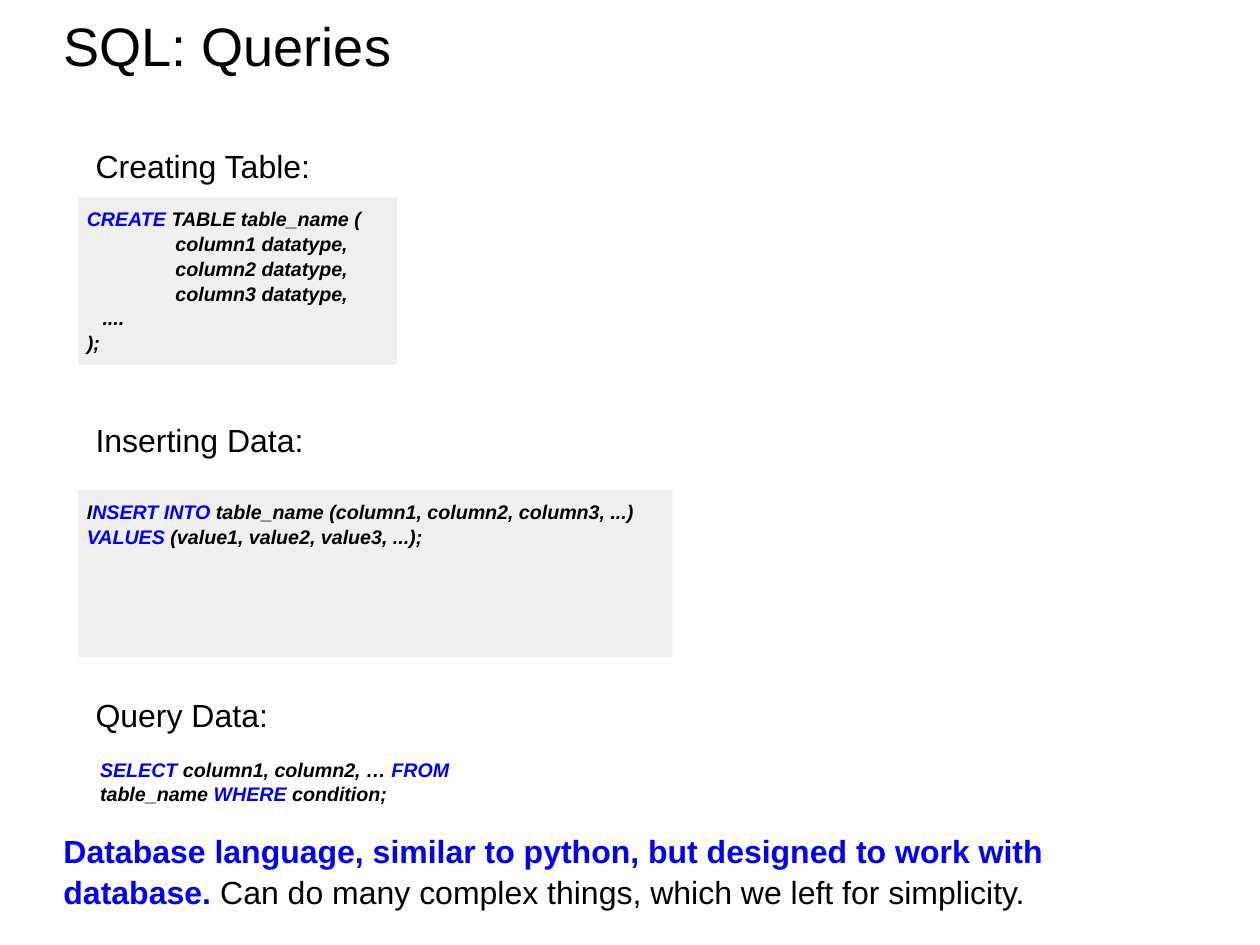
import pptx
import pptx.dml.color
import pptx.enum.shapes
import pptx.enum.text
import pptx.util
from dataclasses import dataclass

Cm = pptx.util.Cm
COLORS = {"ink": "000000", "key": "0000FF", "panel": "EFEFEF"}


@dataclass
class Span:
    text: str
    color: str = "ink"
    bold: bool = False
    slant: bool = False


@dataclass
class Line:
    spans: list[Span]
    indent: float = 0


@dataclass
class Block:
    left: float
    top: float
    width: float
    height: float
    size: int
    lines: list[Line]
    fill: str = ""


def tint(name: str) -> pptx.dml.color.RGBColor:
    return pptx.dml.color.RGBColor.from_string(COLORS[name])


def code(text: str) -> Span:
    return Span(text, "ink", True, True)


def key(text: str) -> Span:
    return Span(text, "key", True, True)


def draw(slide: pptx.slide.Slide, block: Block) -> None:
    place = [Cm(n) for n in (block.left, block.top, block.width, block.height)]
    if block.fill:
        shape = slide.shapes.add_shape(
            pptx.enum.shapes.MSO_SHAPE.RECTANGLE, *place)
        shape.shadow.inherit = False
        shape.fill.solid()
        shape.fill.fore_color.rgb = tint(block.fill)
        shape.line.fill.background()
    else:
        shape = slide.shapes.add_textbox(*place)
    frame = shape.text_frame
    frame.word_wrap = True
    frame.vertical_anchor = pptx.enum.text.MSO_ANCHOR.TOP
    frame.margin_left = frame.margin_right = Cm(0.25)
    frame.margin_top = frame.margin_bottom = Cm(0.25)
    for index, line in enumerate(block.lines):
        para = frame.add_paragraph() if index else frame.paragraphs[0]
        para.alignment = pptx.enum.text.PP_ALIGN.LEFT
        para.line_spacing = 1.05
        if line.indent:
            para._p.get_or_add_pPr().set("marL", str(Cm(line.indent)))
        for span in line.spans:
            run = para.add_run()
            run.text = span.text
            run.font.name = "Arial"
            run.font.size = pptx.util.Pt(block.size)
            run.font.bold = span.bold
            run.font.italic = span.slant
            run.font.color.rgb = tint(span.color)


CREATE = [
    Line([key("CREATE "), code("TABLE table_name (")]),
    *[Line([code(f"column{n} datatype,")], 2.54) for n in (1, 2, 3)],
    Line([code("....")], 0.45),
    Line([code(");")]),
]
INSERT = [
    Line([code("I"), key("NSERT INTO "),
          code("table_name (column1, column2, column3, ...)")]),
    Line([key("VALUES "), code("(value1, value2, value3, ...);")]),
]
SELECT = [
    Line([key("SELECT"), code(" column1, column2, … "), key("FROM"),
          code(" table_name "), key("WHERE"), code(" condition;")]),
]
CLOSING = [
    Line([Span("Database language, similar to python, but designed to work "
               "with database. ", "key", True),
          Span("Can do many complex things, which we left for simplicity.")]),
]
HEADS = ["Creating Table:", "Inserting Data:", "Query Data:"]
BLOCKS = [
    Block(1.57, 0, 32.94, 3.89, 44, [Line([Span("SQL: Queries")])]),
    *[Block(2.49, 3.89 + 7.87 * row, 20, 1.6, 26, [Line([Span(head)])])
      for row, head in enumerate(HEADS)],
    Block(2.24, 5.66, 9.14, 4.8, 16, CREATE, "panel"),
    Block(2.24, 14.05, 17.04, 4.8, 16, INSERT, "panel"),
    Block(2.62, 21.44, 12.67, 2.34, 16, SELECT),
    Block(1.57, 23.55, 32.94, 2.8, 26, CLOSING),
]


def main() -> None:
    deck = pptx.Presentation()
    deck.slide_width = Cm(36.12)
    deck.slide_height = Cm(27.1)
    slide = deck.slides.add_slide(deck.slide_layouts[6])
    for block in BLOCKS:
        draw(slide, block)
    deck.save("out.pptx")


if __name__ == "__main__":
    main()
